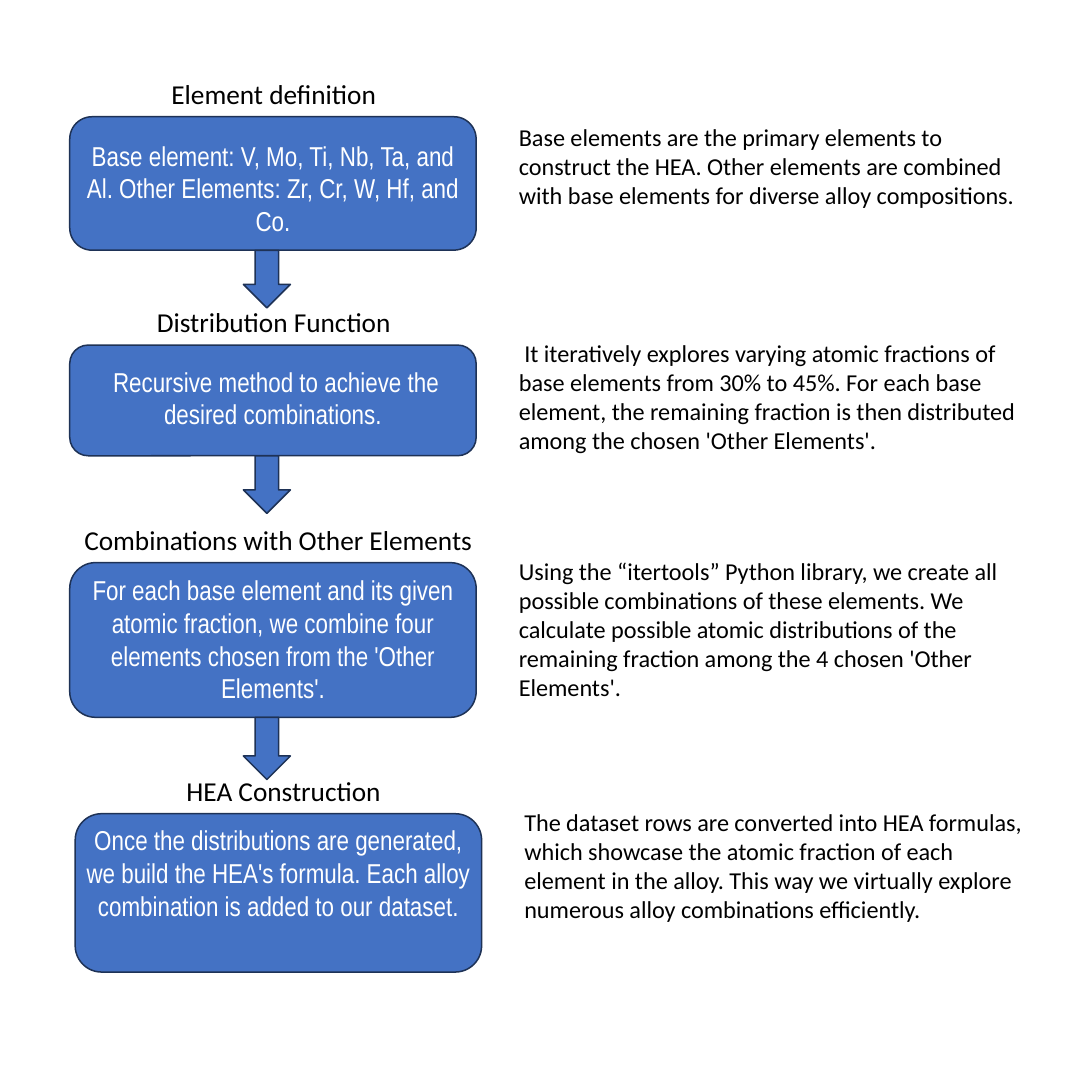
from dataclasses import dataclass

from pptx import Presentation
from pptx.dml.color import RGBColor
from pptx.enum.shapes import MSO_SHAPE as Shape
from pptx.enum.text import MSO_ANCHOR as Anchor, PP_ALIGN as Align
from pptx.util import Pt


@dataclass(frozen=True)
class Theme:
    fill: RGBColor = RGBColor(0x44, 0x72, 0xC4)
    outline: RGBColor = RGBColor(0x1E, 0x32, 0x56)
    dark: RGBColor = RGBColor(0, 0, 0)
    light: RGBColor = RGBColor(0xFF, 0xFF, 0xFF)
    heading_size: float = 18
    box_size: float = 18
    detail_size: float = 16
    heading_font: str = "Calibri"
    box_font: str = "Arial Narrow"


@dataclass(frozen=True)
class Step:
    """One stage of the flow; lengths in points."""
    heading: str
    summary: str
    detail: str
    top: float
    height: float
    summary_offset: float
    summary_height: float
    heading_center: float
    heading_width: float
    detail_offset: float = -8
    detail_height: float = 122.4
    shift: float = 0
    summary_width: float = 268
    arrow_height: float = 38


THEME = Theme()
BOX_LEFT, BOX_WIDTH = 46, 268
DETAIL_LEFT, DETAIL_WIDTH = 335, 353.5
HEADING_RISE, HEADING_HEIGHT = 29.5, 29
ARROW_LEFT, ARROW_WIDTH = 160.5, 31

STEPS = [
    Step("Element definition",
         "Base element: V, Mo, Ti, Nb, Ta, and Al. Other Elements: Zr, Cr, W, Hf, and Co.",
         "Base elements are the primary elements to construct the HEA. Other elements "
         "are combined with base elements for diverse alloy compositions.",
         top=77, height=88, summary_offset=11, summary_height=73,
         heading_center=180.5, heading_width=158, detail_offset=0, detail_height=65.5),
    Step("Distribution Function",
         " Recursive method to achieve the desired combinations.",
         " It iteratively explores varying atomic fractions of base elements from 30% "
         "to 45%. For each base element, the remaining fraction is then distributed "
         "among the chosen 'Other Elements'.",
         top=227.5, height=73, summary_offset=9.5, summary_height=55.5,
         heading_center=180.5, heading_width=178),
    Step("Combinations with Other Elements",
         "For each base element and its given atomic fraction, we combine four "
         "elements chosen from the 'Other Elements'.",
         "Using the “itertools” Python library, we create all possible combinations "
         "of these elements. We calculate possible atomic distributions of the "
         "remaining fraction among the 4 chosen 'Other Elements'.",
         top=371, height=102, summary_offset=3.5, summary_height=104.4,
         heading_center=183.5, heading_width=274.5, arrow_height=41),
    Step("HEA Construction",
         "Once the distributions are generated, we build the HEA's formula. Each "
         "alloy combination is added to our dataset.",
         "The dataset rows are converted into HEA formulas, which showcase the atomic "
         "fraction of each element in the alloy. This way we virtually explore "
         "numerous alloy combinations efficiently.",
         top=536.5, height=104.4, summary_offset=3, summary_height=104.4,
         heading_center=187, heading_width=274.5, shift=3.6,
         summary_width=274.5, arrow_height=0),
]


def add_text(group, text, left, top, width, height, *, size, font, color, align=Align.CENTER):
    box = group.shapes.add_textbox(Pt(left), Pt(top), Pt(width), Pt(height))
    frame = box.text_frame
    frame.word_wrap = True
    frame.vertical_anchor = Anchor.TOP
    paragraph = frame.paragraphs[0]
    paragraph.alignment = align
    run = paragraph.add_run()
    run.text = text
    run.font.size = Pt(size)
    run.font.name = font
    run.font.color.rgb = color


def add_block(group, kind, left, top, width, height):
    """Add a filled, outlined preset shape."""
    shape = group.shapes.add_shape(kind, Pt(left), Pt(top), Pt(width), Pt(height))
    shape.shadow.inherit = False
    shape.fill.solid()
    shape.fill.fore_color.rgb = THEME.fill
    shape.line.color.rgb = THEME.outline
    shape.line.width = Pt(1)


def add_step(slide, step):
    group = slide.shapes.add_group_shape()
    box_left = BOX_LEFT + step.shift
    add_block(group, Shape.FLOWCHART_ALTERNATE_PROCESS,
              box_left, step.top, BOX_WIDTH, step.height)
    add_text(group, step.summary, box_left + (BOX_WIDTH - step.summary_width) / 2,
             step.top + step.summary_offset, step.summary_width, step.summary_height,
             size=THEME.box_size, font=THEME.box_font, color=THEME.light)
    add_text(group, step.detail, DETAIL_LEFT + step.shift, step.top + step.detail_offset,
             DETAIL_WIDTH, step.detail_height, size=THEME.detail_size,
             font=THEME.heading_font, color=THEME.dark, align=Align.LEFT)
    add_text(group, step.heading, step.heading_center - step.heading_width / 2,
             step.top - HEADING_RISE, step.heading_width, HEADING_HEIGHT,
             size=THEME.heading_size, font=THEME.heading_font, color=THEME.dark)
    if step.arrow_height:
        add_block(group, Shape.DOWN_ARROW, ARROW_LEFT, step.top + step.height,
                  ARROW_WIDTH, step.arrow_height)


def main():
    presentation = Presentation()
    presentation.slide_width = presentation.slide_height = Pt(720)
    slide = presentation.slides.add_slide(presentation.slide_layouts[6])
    for step in STEPS:
        add_step(slide, step)
    presentation.save("out.pptx")


if __name__ == "__main__":
    main()
